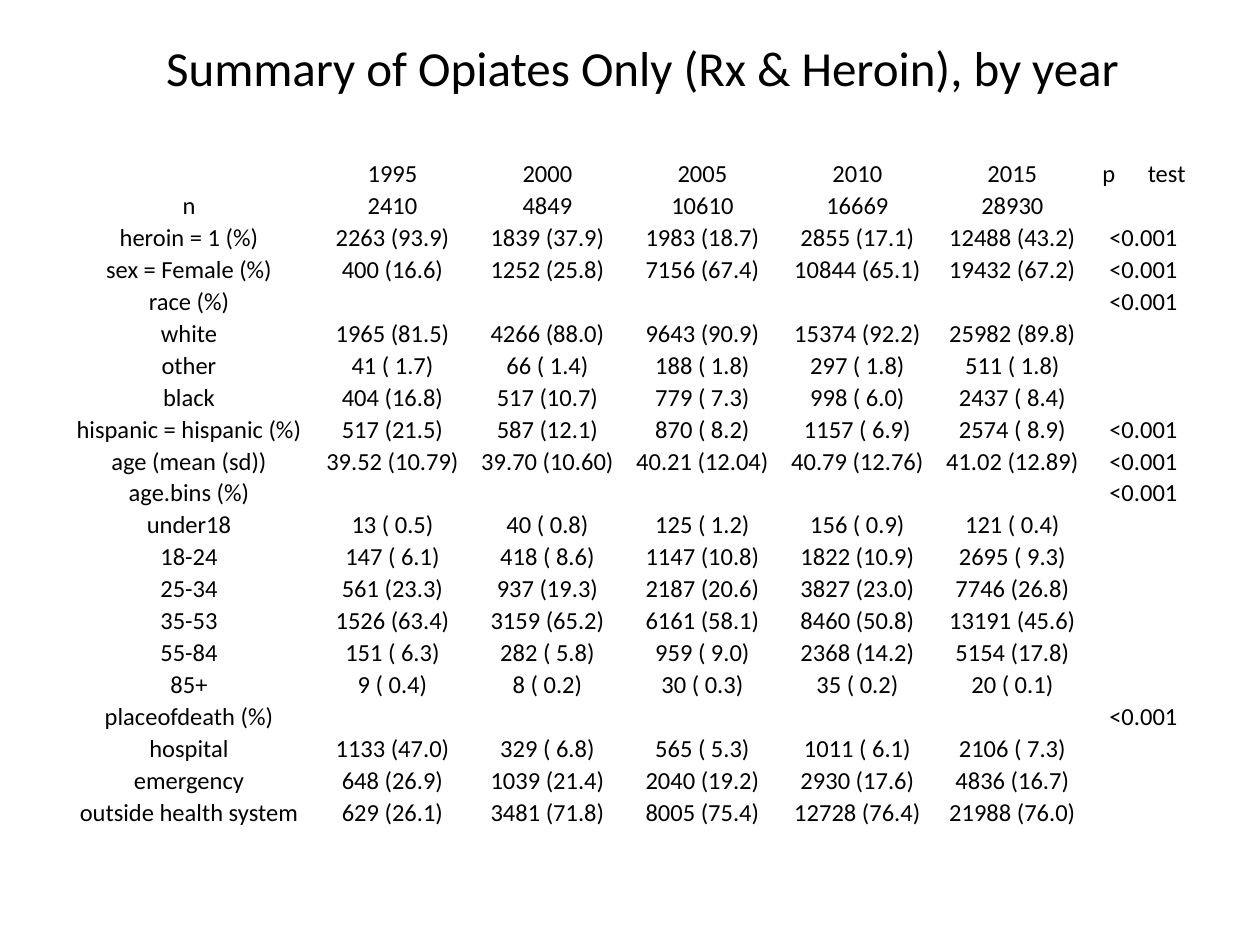
"""Build the slide that sums up opiate deaths by year in one table."""
from typing import NamedTuple

from lxml.etree import SubElement
from pptx import Presentation
from pptx.dml.color import RGBColor
from pptx.enum.text import MSO_ANCHOR, MSO_AUTO_SIZE, PP_ALIGN
from pptx.oxml.ns import qn
from pptx.util import Inches, Pt

FONT = "Calibri"
SIZE = 14
COLORS = {"ink": "000000"}
WIDTHS = [2] + [1.23] * 5 + [0.85]
HIGH = 5.33
LOW = "<0.001"


class Row(NamedTuple):
    """Hold one line of the table: a label, five years split by bars, a p value."""
    name: str
    years: str = "||||"
    p: str = ""

    def cells(self) -> list[str]:
        """Give the texts of the line from left to right."""
        return [self.name, *self.years.split("|"), self.p]


ROWS = [
    Row("", "1995|2000|2005|2010|2015", "p\ttest"),
    Row("n", "2410|4849|10610|16669|28930"),
    Row("heroin = 1 (%)", "2263 (93.9)|1839 (37.9)|1983 (18.7)|2855 (17.1)|12488 (43.2)", LOW),
    Row("sex = Female (%)", "400 (16.6)|1252 (25.8)|7156 (67.4)|10844 (65.1)|19432 (67.2)", LOW),
    Row("race (%)", p=LOW),
    Row("white", "1965 (81.5)|4266 (88.0)|9643 (90.9)|15374 (92.2)|25982 (89.8)"),
    Row("other", "41 ( 1.7)|66 ( 1.4)|188 ( 1.8)|297 ( 1.8)|511 ( 1.8)"),
    Row("black", "404 (16.8)|517 (10.7)|779 ( 7.3)|998 ( 6.0)|2437 ( 8.4)"),
    Row("hispanic = hispanic (%)", "517 (21.5)|587 (12.1)|870 ( 8.2)|1157 ( 6.9)|2574 ( 8.9)", LOW),
    Row("age (mean (sd))", "39.52 (10.79)|39.70 (10.60)|40.21 (12.04)|40.79 (12.76)|41.02 (12.89)", LOW),
    Row("age.bins (%)", p=LOW),
    Row("under18", "13 ( 0.5)|40 ( 0.8)|125 ( 1.2)|156 ( 0.9)|121 ( 0.4)"),
    Row("18-24", "147 ( 6.1)|418 ( 8.6)|1147 (10.8)|1822 (10.9)|2695 ( 9.3)"),
    Row("25-34", "561 (23.3)|937 (19.3)|2187 (20.6)|3827 (23.0)|7746 (26.8)"),
    Row("35-53", "1526 (63.4)|3159 (65.2)|6161 (58.1)|8460 (50.8)|13191 (45.6)"),
    Row("55-84", "151 ( 6.3)|282 ( 5.8)|959 ( 9.0)|2368 (14.2)|5154 (17.8)"),
    Row("85+", "9 ( 0.4)|8 ( 0.2)|30 ( 0.3)|35 ( 0.2)|20 ( 0.1)"),
    Row("placeofdeath (%)", p=LOW),
    Row("hospital", "1133 (47.0)|329 ( 6.8)|565 ( 5.3)|1011 ( 6.1)|2106 ( 7.3)"),
    Row("emergency", "648 (26.9)|1039 (21.4)|2040 (19.2)|2930 (17.6)|4836 (16.7)"),
    Row("outside health system", "629 (26.1)|3481 (71.8)|8005 (75.4)|12728 (76.4)|21988 (76.0)"),
]


def add_run(para, text: str, size: float) -> None:
    """Add one run in the slide's font and ink."""
    run = para.add_run()
    run.text = text
    run.font.name = FONT
    run.font.size = Pt(size)
    run.font.color.rgb = RGBColor.from_string(COLORS["ink"])


def add_tab(cell, left: float, stop: float) -> None:
    """Set a cell flush left with one tab stop."""
    para = cell.text_frame.paragraphs[0]
    para.alignment = PP_ALIGN.LEFT
    cell.margin_left = Inches(left)
    tabs = SubElement(para._p.get_or_add_pPr(), qn("a:tabLst"))
    SubElement(tabs, qn("a:tab"), pos=str(Inches(stop)), algn="l")


def fill_cell(cell, text: str) -> None:
    """Format a cell and write its text, if any."""
    cell.fill.background()
    cell.vertical_anchor = MSO_ANCHOR.MIDDLE
    cell.margin_left = cell.margin_right = cell.margin_top = Inches(0.01)
    cell.margin_bottom = Inches(0)
    para = cell.text_frame.paragraphs[0]
    para.alignment = PP_ALIGN.CENTER
    if text:
        add_run(para, text, SIZE)
    else:
        SubElement(para._p, qn("a:endParaRPr"), sz=str(SIZE * 100))
    if "\t" in text:
        add_tab(cell, 0.1, 0.36)


def add_grid(slide) -> None:
    """Draw the table of counts by year."""
    frame = slide.shapes.add_table(
        len(ROWS), len(WIDTHS), Inches(0.5), Inches(1.25), Inches(sum(WIDTHS)), Inches(HIGH)
    )
    grid = frame.table
    grid.first_row = grid.horz_banding = False
    for col, width in zip(grid.columns, WIDTHS):
        col.width = Inches(width)
    for line, row in zip(grid.rows, ROWS):
        line.height = Inches(HIGH / len(ROWS))
        for cell, text in zip(line.cells, row.cells()):
            fill_cell(cell, text)


def add_title(slide, text: str) -> None:
    """Draw the title in one line."""
    box = slide.shapes.add_textbox(Inches(1.22), Inches(0.25), Inches(7.87), Inches(0.57))
    box.text_frame.word_wrap = False
    box.text_frame.auto_size = MSO_AUTO_SIZE.SHAPE_TO_FIT_TEXT
    add_run(box.text_frame.paragraphs[0], text, 28)


def main() -> None:
    """Build and save the slide."""
    deck = Presentation()
    deck.slide_width, deck.slide_height = Inches(10), Inches(7.5)
    slide = deck.slides.add_slide(deck.slide_layouts[6])
    add_grid(slide)
    add_title(slide, "Summary of Opiates Only (Rx & Heroin), by year")
    deck.save("out.pptx")


if __name__ == "__main__":
    main()
